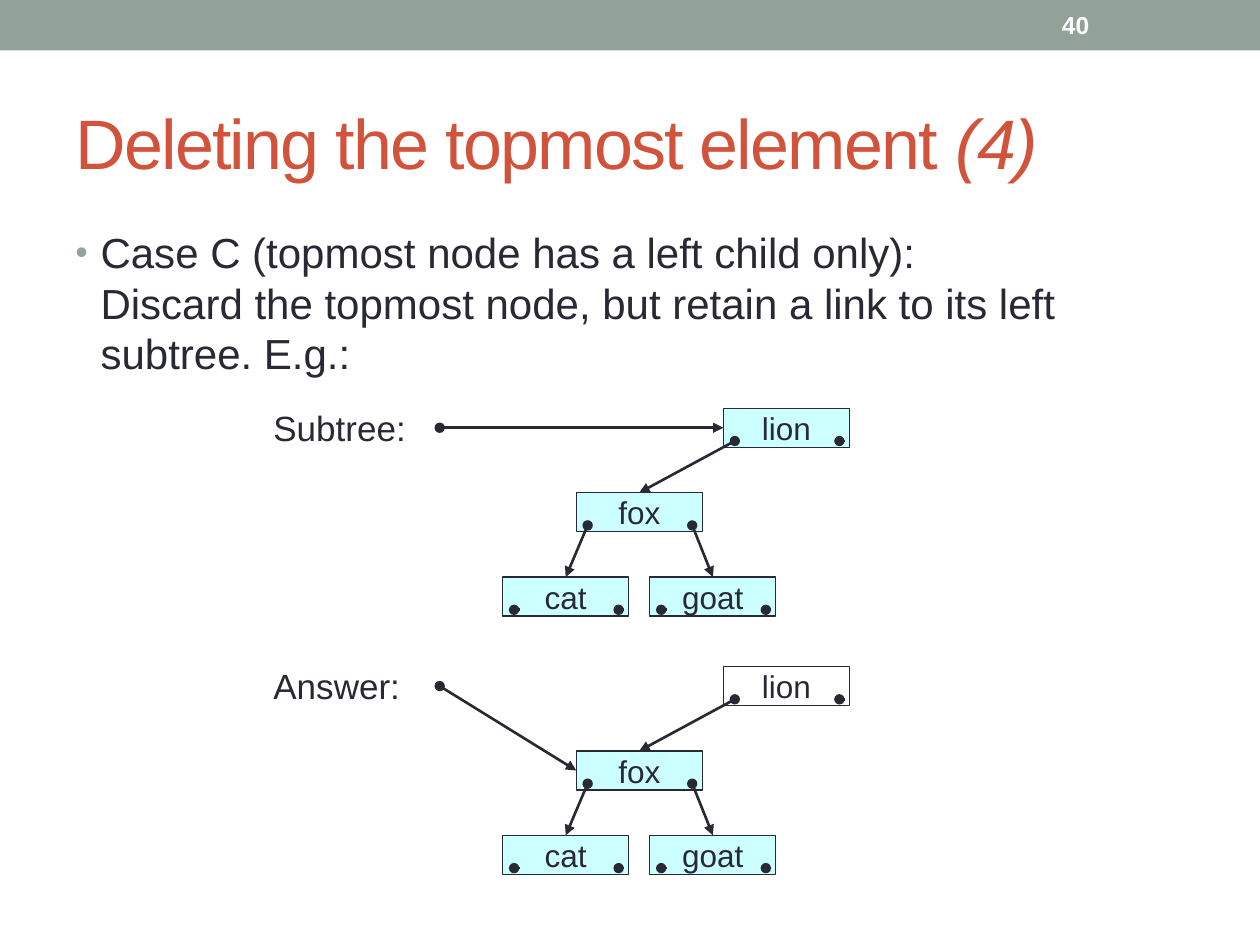
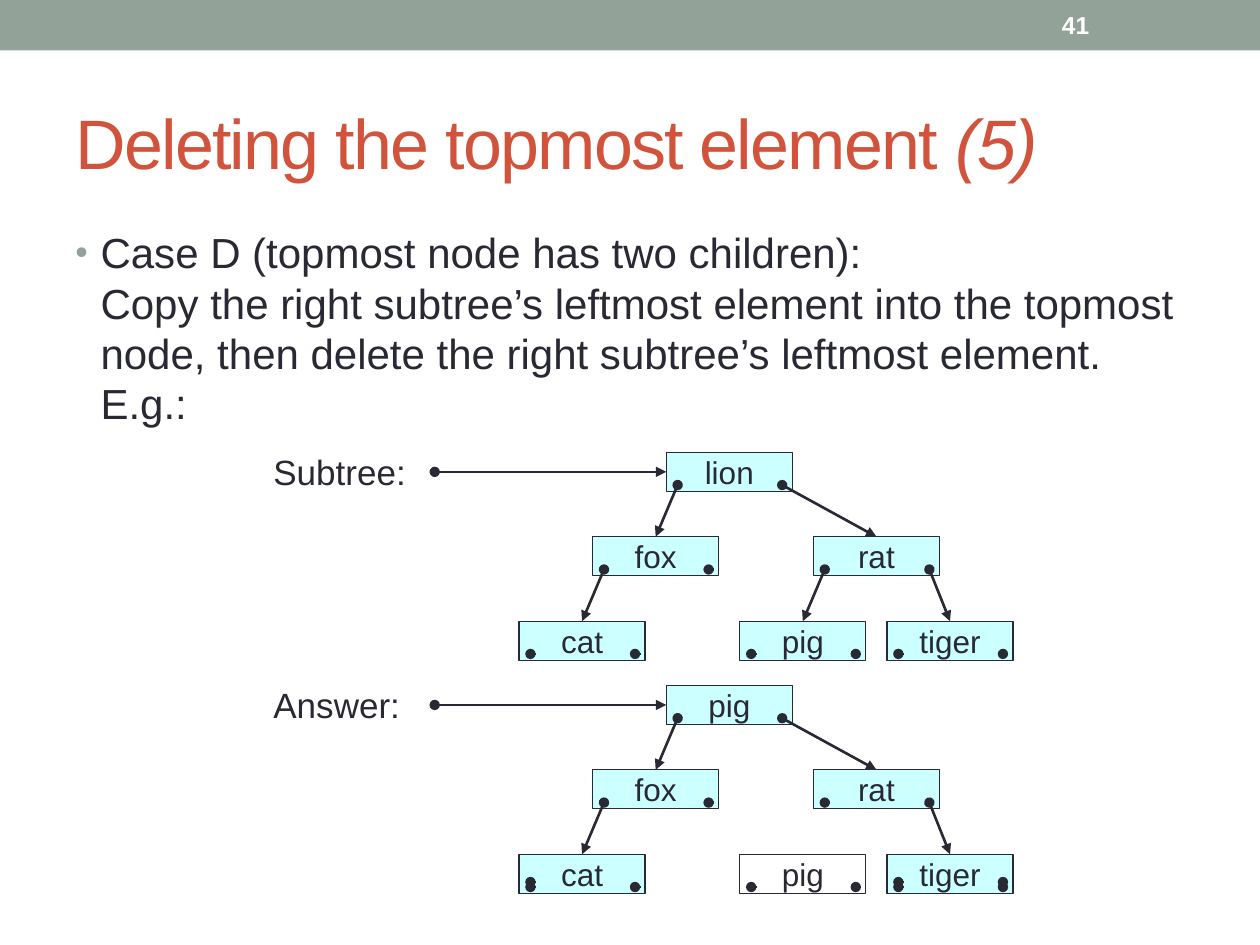
from dataclasses import dataclass, replace

from lxml.etree import SubElement
from pptx import Presentation
from pptx.dml.color import RGBColor
from pptx.enum.shapes import MSO_CONNECTOR, MSO_SHAPE
from pptx.enum.text import MSO_ANCHOR, PP_ALIGN
from pptx.oxml.ns import qn
from pptx.util import Inches, Pt

COLORS = {
    "band": "93A299",
    "title": "D2533C",
    "ink": "292934",
    "node": "CCFFFF",
    "white": "FFFFFF",
}
FONT = "Arial"
NODE_WIDTH, NODE_HEIGHT = 1, 0.31
COLUMN_STEP, ROW_STEP = 0.584, 0.67
LINK_LEFT, LINK_RIGHT, LINK_TOP = 0.09, 0.92, 0.26
LABEL_LEFT = 2.17


@dataclass(frozen=True)
class Node:
    """A tree node; left and right are the columns of its children."""

    label: str
    row: int
    left: int | None = None
    right: int | None = None
    fill: str = "node"


def color(name):
    """Return the named palette colour."""
    return RGBColor.from_string(COLORS[name])


def write(para, text, size=18, ink="ink", bold=False, italic=False, spacing=None):
    """Append formatted text to a paragraph, with line breaks at newlines."""
    for index, line in enumerate(text.split("\n")):
        if index:
            para.add_line_break()
        span = para.add_run()
        span.text = line
        span.font.name = FONT
        span.font.size = Pt(size)
        span.font.bold = bold
        span.font.italic = italic
        span.font.color.rgb = color(ink)
        if spacing is not None:
            span.font._element.set("spc", str(spacing))


def prepare_frame(shape, anchor=MSO_ANCHOR.TOP, inset=True):
    """Set wrapping, anchor and insets, and return the first paragraph."""
    frame = shape.text_frame
    frame.word_wrap = True
    frame.vertical_anchor = anchor
    if not inset:
        frame.margin_left = frame.margin_right = 0
        frame.margin_top = frame.margin_bottom = 0
    return frame.paragraphs[0]


def add_text_box(shapes, left, top, width, height, **options):
    """Add a text box and return its first paragraph."""
    box = shapes.add_textbox(Inches(left), Inches(top), Inches(width), Inches(height))
    return prepare_frame(box, **options)


def add_rectangle(shapes, left, top, width, height, fill, outline=None):
    """Add a flat rectangle."""
    box = shapes.add_shape(
        MSO_SHAPE.RECTANGLE, Inches(left), Inches(top), Inches(width), Inches(height)
    )
    box.shadow.inherit = False
    box.fill.solid()
    box.fill.fore_color.rgb = color(fill)
    if outline:
        box.line.color.rgb = color(outline)
        box.line.width = Pt(0.75)
    else:
        box.line.fill.background()
    return box


def add_link(shapes, left, top, target=None, side=0):
    """Draw a dot, with an arrow to one side of the target if there is one."""
    link = shapes.add_connector(
        MSO_CONNECTOR.STRAIGHT,
        Inches(left), Inches(top), Inches(left + 0.04), Inches(top),
    )
    link.line.color.rgb = color("ink")
    link.line.width = Pt(1.5)
    outline = link.line._get_or_add_ln()
    SubElement(outline, qn("a:headEnd"), type="oval")
    if target is not None:
        SubElement(outline, qn("a:tailEnd"), type="triangle")
        link.end_connect(target, side)
    SubElement(link._element.spPr, qn("a:effectLst"))


def add_node(shapes, left, top, node):
    """Draw the labelled box of a node."""
    box = add_rectangle(shapes, left, top, NODE_WIDTH, NODE_HEIGHT, node.fill, "ink")
    para = prepare_frame(box, MSO_ANCHOR.MIDDLE, inset=False)
    para.alignment = PP_ALIGN.CENTER
    write(para, node.label)
    return box


def add_tree(page, caption, left, top, nodes, pointer_left, pointed, extra_dots=()):
    """Draw a captioned tree whose nodes stand one per column, in order."""
    shapes = page.shapes.add_group_shape().shapes
    corners = [
        (left + column * COLUMN_STEP, top + node.row * ROW_STEP)
        for column, node in enumerate(nodes)
    ]
    boxes = [add_node(shapes, *corner, node) for corner, node in zip(corners, nodes)]
    for (node_left, node_top), node in zip(corners, nodes):
        for offset, child in ((LINK_LEFT, node.left), (LINK_RIGHT, node.right)):
            target = None if child is None else boxes[child]
            add_link(shapes, node_left + offset, node_top + LINK_TOP, target)
    for column, offset in extra_dots:
        node_left, node_top = corners[column]
        add_link(shapes, node_left + offset, node_top + LINK_TOP - 0.04)
    add_link(shapes, pointer_left, top + NODE_HEIGHT / 2, boxes[pointed], side=1)
    para = add_text_box(shapes, LABEL_LEFT, top + 0.04, 1.06, 0.28, inset=False)
    para.line_spacing = Pt(20)
    write(para, caption, size=20)


def add_bullet(para):
    """Give a paragraph a hanging round bullet."""
    properties = para._p.get_or_add_pPr()
    properties.set("marL", str(Inches(0.2)))
    properties.set("indent", str(-Inches(0.2)))
    tint = SubElement(properties, qn("a:buClr"))
    SubElement(tint, qn("a:srgbClr"), val=COLORS["band"])
    SubElement(properties, qn("a:buSzPct"), val="85000")
    SubElement(properties, qn("a:buFont"), typeface=FONT)
    SubElement(properties, qn("a:buChar"), char="•")


def add_page(deck, number, part, body):
    """Add a slide with its band, page number, title and bullet."""
    page = deck.slides.add_slide(deck.slide_layouts[6])
    shapes = page.shapes
    add_rectangle(shapes, 0, 0, 10, 0.4, "band")
    para = add_text_box(shapes, 8.33, 0.02, 1.17, 0.36, anchor=MSO_ANCHOR.MIDDLE)
    write(para, str(number), size=14, ink="white", bold=True)
    para = add_text_box(shapes, 0.5, 0.58, 9, 1.08, anchor=MSO_ANCHOR.MIDDLE)
    heading = {"size": 40, "ink": "title", "spacing": -100}
    write(para, "Deleting the topmost element ", **heading)
    write(para, f"({part})", italic=True, **heading)
    para = add_text_box(shapes, 0.5, 1.75, 9, 5.33)
    add_bullet(para)
    write(para, body, size=24)
    return page


def add_left_child_page(deck):
    """Show the deletion of a node with a left child only."""
    page = add_page(
        deck, 40, 4,
        "Case C (topmost node has a left child only):\n"
        "Discard the topmost node, but retain a link to its left subtree. E.g.:",
    )
    nodes = [Node("cat", 2), Node("fox", 1, 0, 2), Node("goat", 2), Node("lion", 0, 1)]
    answer = nodes[:3] + [replace(nodes[3], fill="white")]
    add_tree(page, "Subtree:", 3.99, 3.24, nodes, 3.49, pointed=3)
    add_tree(page, "Answer:", 3.99, 5.29, answer, 3.49, pointed=1)


def add_two_children_page(deck):
    """Show the deletion of a node with two children."""
    page = add_page(
        deck, 41, 5,
        "Case D (topmost node has two children):\n"
        "Copy the right subtree’s leftmost element into the topmost node, "
        "then delete the right subtree’s leftmost element. E.g.:",
    )
    nodes = [
        Node("cat", 2),
        Node("fox", 1, 0),
        Node("lion", 0, 1, 4),
        Node("pig", 2),
        Node("rat", 1, 3, 5),
        Node("tiger", 2),
    ]
    answer = nodes.copy()
    answer[2] = replace(nodes[2], label="pig")
    answer[3] = replace(nodes[3], fill="white")
    answer[4] = replace(nodes[4], left=None)
    doubled = [(0, LINK_LEFT), (5, LINK_LEFT), (5, LINK_RIGHT)]
    add_tree(page, "Subtree:", 4.12, 3.59, nodes, 3.45, pointed=2)
    add_tree(page, "Answer:", 4.12, 5.44, answer, 3.45, pointed=2, extra_dots=doubled)


def main():
    """Build and save the deck."""
    deck = Presentation()
    deck.slide_width, deck.slide_height = Inches(10), Inches(7.5)
    add_left_child_page(deck)
    add_two_children_page(deck)
    deck.save("out.pptx")


if __name__ == "__main__":
    main()
